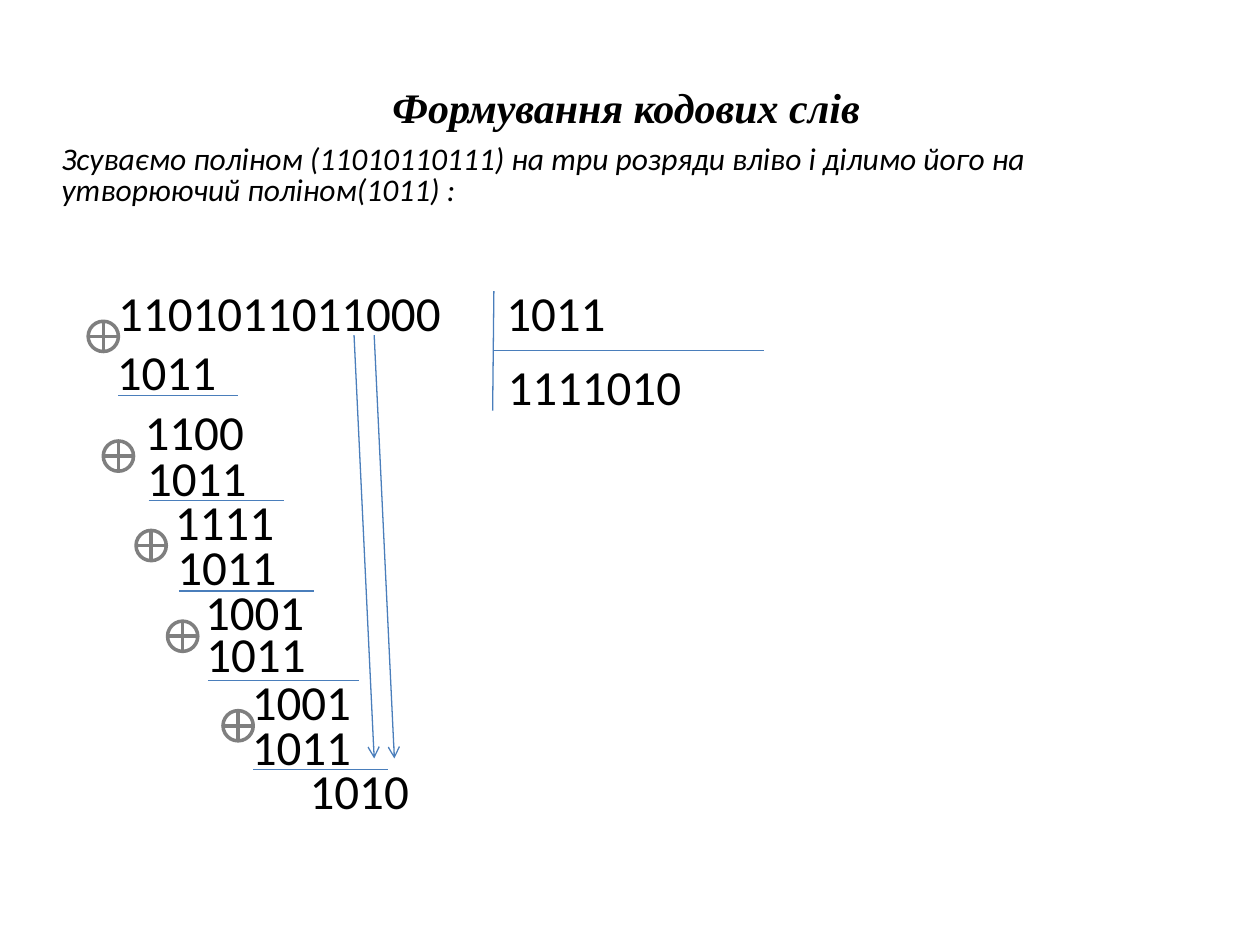
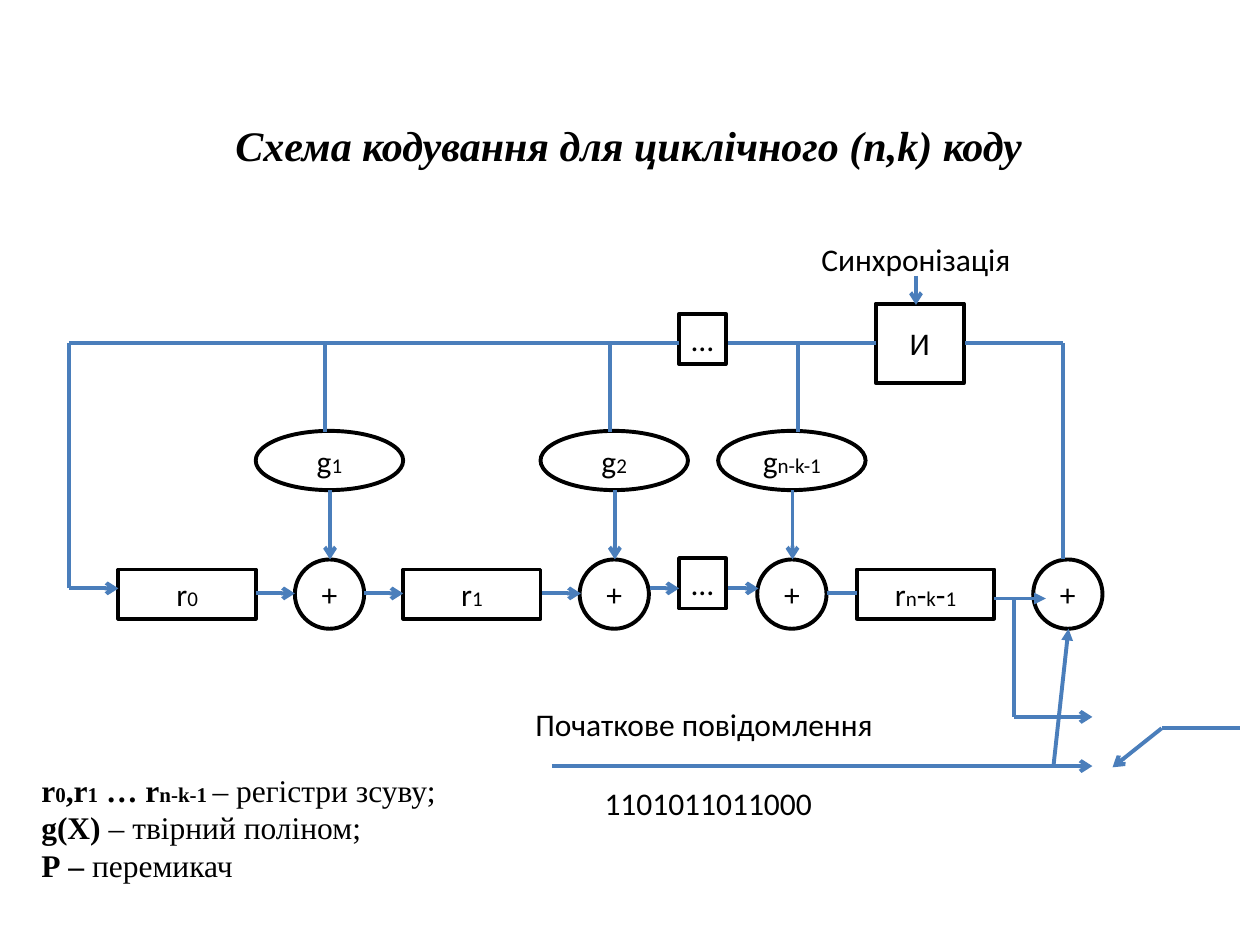
"""Build two slides on cyclic codes: polynomial division and the encoder scheme."""
from pptx import Presentation
from pptx.dml.color import RGBColor
from pptx.enum.shapes import MSO_CONNECTOR, MSO_SHAPE as SHAPE
from pptx.enum.text import MSO_ANCHOR as ANCHOR, PP_ALIGN as ALIGN
from pptx.oxml.ns import qn
from pptx.util import Inches, Pt
from lxml.etree import SubElement

COLORS = {"text": "000000", "paper": "FFFFFF", "wire": "4A7EBB", "sum": "7F7F7F"}
SERIF = "Times New Roman"
TITLE = dict(size=24, font=SERIF, bold=True, italic=True, align=ALIGN.CENTER, anchor=ANCHOR.MIDDLE, wrap=True)
NODE = dict(line="text", fill="paper", align=ALIGN.CENTER, anchor=ANCHOR.MIDDLE, wrap=True)


def add_text(s, text, x, y, w, h, shape=None, fill=None, line=None, weight=2.25, size=18, small=12,
             font="Calibri", bold=False, plain_tail=False, italic=False, align=ALIGN.LEFT,
             anchor=ANCHOR.TOP, wrap=False, spacing=None):
    box = Inches(x), Inches(y), Inches(w), Inches(h)
    if shape is None:
        sp = s.shapes.add_textbox(*box)
    else:
        sp = s.shapes.add_shape(shape, *box)
        sp.shadow.inherit = False
        if fill:
            sp.fill.solid()
            sp.fill.fore_color.rgb = RGBColor.from_string(COLORS[fill])
        else:
            sp.fill.background()
        sp.line.color.rgb = RGBColor.from_string(COLORS[line])
        sp.line.width = Pt(weight)
    tf = sp.text_frame
    tf.word_wrap = wrap
    tf.vertical_anchor = anchor
    for i, row in enumerate(text.split("\n") if text else []):
        p = tf.add_paragraph() if i else tf.paragraphs[0]
        p.alignment = align
        if spacing:
            p.line_spacing = spacing
        parts = row.split("|")
        for j, part in enumerate(parts):
            if not part:
                continue
            r = p.add_run()
            r.text = part
            r.font.name = font
            r.font.size = Pt(small if j % 2 else size)
            r.font.bold = bold and not (plain_tail and j == len(parts) - 1)
            r.font.italic = italic
            r.font.color.rgb = RGBColor.from_string(COLORS["text"])
    return sp


def add_line(s, x1, y1, x2, y2, head=None, weight=2.25):
    c = s.shapes.add_connector(MSO_CONNECTOR.STRAIGHT, Inches(x1), Inches(y1), Inches(x2), Inches(y2))
    c.line.color.rgb = RGBColor.from_string(COLORS["wire"])
    c.line.width = Pt(weight)
    spPr = c._element.spPr
    if head:
        SubElement(spPr.find(qn("a:ln")), qn("a:tailEnd"), type=head)
    SubElement(spPr, qn("a:effectLst"))
    return c


prs = Presentation()
prs.slide_width, prs.slide_height = Inches(10), Inches(7.5)
blank = prs.slide_layouts[6]

s = prs.slides.add_slide(blank)
add_text(s, "Формування кодових слів", 0.47, 0.58, 9, 0.53, **TITLE)
add_text(s, "Зсуваємо поліном (11010110111) на три розряди вліво і ділимо його на утворюючий поліном(1011) :",
         0.39, 1.14, 9, 0.53, italic=True, spacing=0.8, anchor=ANCHOR.MIDDLE, wrap=True)

for number, x, y, w in [
    ("1101011011000", 0.84, 2.19, 2.9), ("1011", 3.92, 2.19, 1.1), ("1111010", 3.93, 2.78, 1.7),
    ("1011", 0.83, 2.66, 1.1), ("1100", 1.05, 3.14, 1.1),
    ("1011", 1.07, 3.5, 1.1), ("1111", 1.29, 3.85, 1.1),
    ("1011", 1.31, 4.21, 1.1), ("1001", 1.53, 4.57, 1.1),
    ("1011", 1.54, 4.9, 1.1), ("1001", 1.9, 5.28, 1.1),
    ("1011", 1.9, 5.64, 1.1), ("1010", 2.36, 5.99, 1.1),
]:
    add_text(s, number, x, y, w, 0.57, size=28, wrap=True)

for x, y in [(0.7, 2.55), (0.82, 3.5), (1.08, 4.21), (1.33, 4.93), (1.77, 5.64)]:
    add_text(s, "", x, y, 0.24, 0.24, shape=SHAPE.FLOWCHART_OR, fill="paper", line="sum", weight=2)

for x1, x2, y in [(0.94, 1.89, 3.14), (1.18, 2.25, 3.97), (1.42, 2.49, 4.69),
                  (1.65, 2.85, 5.4), (2.01, 3.08, 6.11), (3.92, 6.06, 2.78)]:
    add_line(s, x1, y, x2, y, weight=0.75)
add_line(s, 3.92, 2.31, 3.91, 3.26, weight=0.75)
for x in (2.81, 2.97):
    add_line(s, x, 2.66, x + 0.16, 6.02, "arrow", weight=0.75)

s = prs.slides.add_slide(blank)
add_text(s, "Схема кодування для циклічного (n,k) коду", 0.74, 0.88, 8.5, 0.53, **TITLE)

for label, x in [("r|0", 0.94), ("r|1", 3.2), ("r|n|-|k|-|1", 6.8)]:
    add_text(s, label, x, 4.52, 1.09, 0.39, shape=SHAPE.RECTANGLE, **NODE)
for center in (2.62, 4.88, 6.29, 8.48):
    add_text(s, "+", center - 0.28, 4.44, 0.55, 0.55, shape=SHAPE.OVAL, **NODE)
for label, center, tap in [("g|1", 2.62, 2.58), ("g|2", 4.88, 4.84), ("g|n-k-1", 6.29, 6.33)]:
    add_text(s, label, center - 0.59, 3.42, 1.17, 0.47, shape=SHAPE.OVAL, **NODE)
    add_line(s, tap, 2.72, tap, 3.43)
    add_line(s, center, 3.89, center, 4.44, "arrow")
add_text(s, "И", 6.95, 2.41, 0.7, 0.63, shape=SHAPE.RECTANGLE, **NODE)
for y in (2.49, 4.43):
    add_text(s, "…", 5.39, y, 0.37, 0.4, shape=SHAPE.RECTANGLE, line="text")

for x1, y1, x2, y2 in [
    (0.55, 4.67, 0.55, 2.72), (0.55, 2.72, 5.39, 2.72), (5.78, 2.72, 6.95, 2.72),
    (8.44, 2.72, 7.66, 2.72), (8.44, 4.44, 8.44, 2.72), (6.56, 4.71, 6.8, 4.71),
    (8.05, 4.75, 8.05, 5.69), (9.22, 5.78, 9.84, 5.78),
]:
    add_line(s, x1, y1, x2, y2)
for x1, x2, y in [(0.55, 0.94, 4.67), (2.03, 2.34, 4.71), (2.89, 3.2, 4.71), (4.3, 4.61, 4.71),
                  (5.16, 5.39, 4.67), (5.78, 6.02, 4.67), (8.05, 8.67, 5.69), (4.38, 8.67, 6.08)]:
    add_line(s, x1, y, x2, y, "arrow")
add_line(s, 7.27, 2.19, 7.27, 2.42, "arrow")
add_line(s, 9.22, 5.78, 8.83, 6.09, "arrow")
add_line(s, 7.89, 4.75, 8.3, 4.75, "triangle")
add_line(s, 8.36, 6.09, 8.48, 4.99, "triangle")

for caption, x, y, w in [("Початкове повідомлення", 4.15, 5.55, 3),
                         ("Синхронізація", 6.42, 1.86, 1.9),
                         ("1101011011000", 4.7, 6.17, 2)]:
    add_text(s, caption, x, y, w, 0.4, wrap=True)
add_text(s, "r|0|,r|1| … r|n-k-1 |– регістри зсуву;\ng(X) ||– твірний поліном;\nР – ||перемикач",
         0.23, 5.94, 3.67, 1.25, shape=SHAPE.RECTANGLE, fill="paper", line="paper",
         font=SERIF, bold=True, plain_tail=True, anchor=ANCHOR.MIDDLE, wrap=True)

prs.save("out.pptx")
